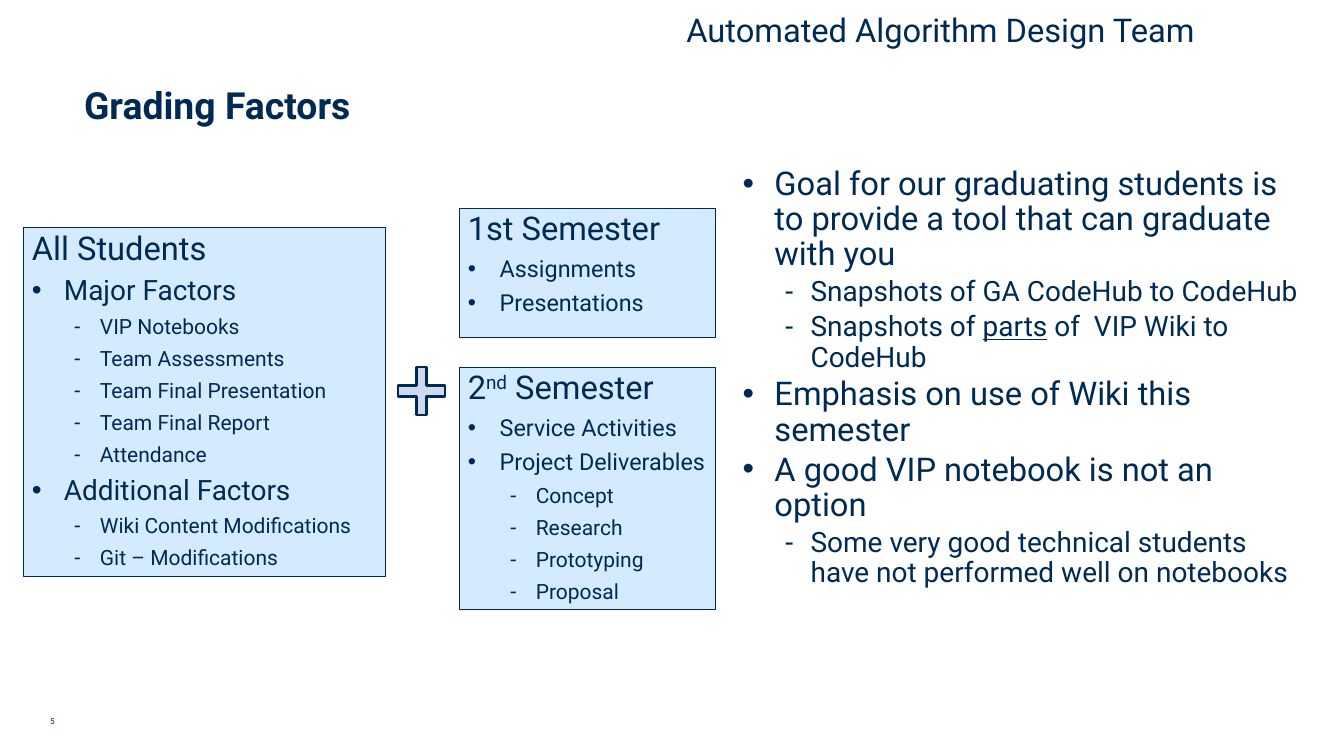
from pptx import Presentation
from pptx.dml.color import RGBColor
from pptx.enum.shapes import MSO_SHAPE as Shape
from pptx.enum.text import MSO_ANCHOR as Anchor, MSO_AUTO_SIZE as AutoSize, PP_ALIGN as Align
from pptx.oxml.ns import qn
from pptx.util import Inches, Pt
from lxml import etree

NAVY = RGBColor(0x00, 0x2A, 0x54)
PALE_BLUE = RGBColor(0xD4, 0xEA, 0xFF)
GREY_BLUE = RGBColor(0xCE, 0xDA, 0xEB)
FONT = "Roboto"

# Outline ranks: bullet, left margin and hanging indent in inches
HEAD, POINT, SUB = range(3)
RANKS = {HEAD: (None, 0, 0), POINT: ("•", 0.38, -0.38), SUB: ("-", 0.81, -0.31)}

# Outlines: a "|" separates the runs of a line
ALL_STUDENTS = [
    (HEAD, "All Students"),
    (POINT, "Major Factors"),
    (SUB, "VIP Notebooks"),
    (SUB, "Team Assessments"),
    (SUB, "Team Final Presentation"),
    (SUB, "Team Final Report"),
    (SUB, "Attendance"),
    (POINT, "Additional Factors"),
    (SUB, "Wiki Content Modifications"),
    (SUB, "Git – Modifications"),
]
GOALS = [
    (POINT, "Goal for our graduating students is to provide a tool that can graduate with you"),
    (SUB, "Snapshots of GA CodeHub to CodeHub"),
    (SUB, "Snapshots of |parts| of  VIP Wiki to CodeHub"),
    (POINT, "Emphasis on use of Wiki this semester"),
    (POINT, "A good VIP notebook is not an option"),
    (SUB, "Some very good technical students have not performed well on notebooks"),
]
FIRST_SEMESTER = [
    (HEAD, "1st Semester"),
    (POINT, "Assignments"),
    (POINT, "Presentations"),
]
SECOND_SEMESTER = [
    (HEAD, "2|nd| Semester"),
    (POINT, "Service Activities"),
    (POINT, "Project Deliverables"),
    (SUB, "Concept"),
    (SUB, "Research"),
    (SUB, "Prototyping"),
    (SUB, "Proposal"),
]


def place(element, left, top, width, height):
    element.left, element.top = Inches(left), Inches(top)
    element.width, element.height = Inches(width), Inches(height)


def paint(element, fill, line_width):
    element.fill.solid()
    element.fill.fore_color.rgb = fill
    element.line.color.rgb = NAVY
    element.line.width = Pt(line_width)


def style_runs(paragraph, size, bold=False):
    for run in paragraph.runs:
        run.font.name = FONT
        run.font.size = Pt(size)
        run.font.bold = bold
        run.font.color.rgb = NAVY


def set_bullet(paragraph, bullet, margin, indent):
    props = paragraph._p.get_or_add_pPr()
    props.set("marL", str(Inches(margin)))
    props.set("indent", str(Inches(indent)))
    if bullet is None:
        etree.SubElement(props, qn("a:buNone"))
    else:
        etree.SubElement(props, qn("a:buFont")).set("typeface", "Arial")
        etree.SubElement(props, qn("a:buChar")).set("char", bullet)


def write_outline(frame, lines, sizes, space_before):
    frame.word_wrap = True
    frame.auto_size = AutoSize.NONE
    frame.vertical_anchor = Anchor.TOP
    for number, (rank, text) in enumerate(lines):
        paragraph = frame.add_paragraph() if number else frame.paragraphs[0]
        paragraph.alignment = Align.LEFT
        paragraph.level = int(rank == SUB)
        paragraph.line_spacing = 0.9
        paragraph.space_before = Pt(space_before)
        for part in text.split("|"):
            paragraph.add_run().text = part
        set_bullet(paragraph, *RANKS[rank])
        style_runs(paragraph, sizes[rank])


def add_semester(slide, top, height, lines):
    box = slide.shapes.add_shape(
        Shape.RECTANGLE, Inches(5.47), Inches(top), Inches(3.05), Inches(height))
    box.shadow.inherit = False
    paint(box, PALE_BLUE, 0.75)
    write_outline(box.text_frame, lines, {HEAD: 28, POINT: 20, SUB: 18}, 8)
    return box.text_frame


def add_label(slide, text, size, left, top, width, height):
    label = slide.shapes.add_textbox(
        Inches(left), Inches(top), Inches(width), Inches(height))
    label.text_frame.word_wrap = True
    label.text_frame.text = text
    paragraph = label.text_frame.paragraphs[0]
    style_runs(paragraph, size)
    return paragraph


def main():
    deck = Presentation()
    deck.slide_width, deck.slide_height = Inches(16), Inches(9)
    slide = deck.slides.add_slide(deck.slide_layouts.get_by_name("Two Content"))
    title, students, goals = slide.placeholders

    # Page number and team name
    add_label(slide, "5", 7, 0.5, 8.48, 1.93, 0.22)
    team = add_label(slide, "Automated Algorithm Design Team", 28, 8.04, 0.14, 6.31, 0.5)
    team.alignment = Align.CENTER
    team.line_spacing = 0.85

    # Title
    place(title, 0.9, 0.98, 14.6, 1.03)
    heading = title.text_frame
    heading.text = "Grading Factors"
    heading.vertical_anchor = Anchor.TOP
    heading.auto_size = AutoSize.NONE
    heading.margin_top = heading.margin_bottom = 0
    heading.paragraphs[0].alignment = Align.LEFT
    style_runs(heading.paragraphs[0], 32, bold=True)

    # Factors for all students
    place(students, 0.28, 2.71, 4.31, 4.15)
    paint(students, PALE_BLUE, 0.75)
    write_outline(students.text_frame, ALL_STUDENTS, {HEAD: 28, POINT: 24, SUB: 18}, 8)

    # Goals
    place(goals, 8.74, 1.94, 6.94, 6)
    write_outline(goals.text_frame, GOALS, {POINT: 28, SUB: 24}, 4)
    goals.text_frame.paragraphs[2].runs[1].font.underline = True

    # Factors by semester
    add_semester(slide, 2.48, 1.54, FIRST_SEMESTER)
    second = add_semester(slide, 4.37, 2.89, SECOND_SEMESTER)
    ordinal = second.paragraphs[0].runs[1]
    ordinal._r.get_or_add_rPr().set("baseline", "30000")

    # Plus sign between the factors
    plus = slide.shapes.add_shape(
        Shape.CROSS, Inches(4.74), Inches(4.37), Inches(0.56), Inches(0.57))
    plus.adjustments[0] = 0.395
    plus.shadow.inherit = False
    paint(plus, GREY_BLUE, 2.25)

    deck.save("out.pptx")


if __name__ == "__main__":
    main()
